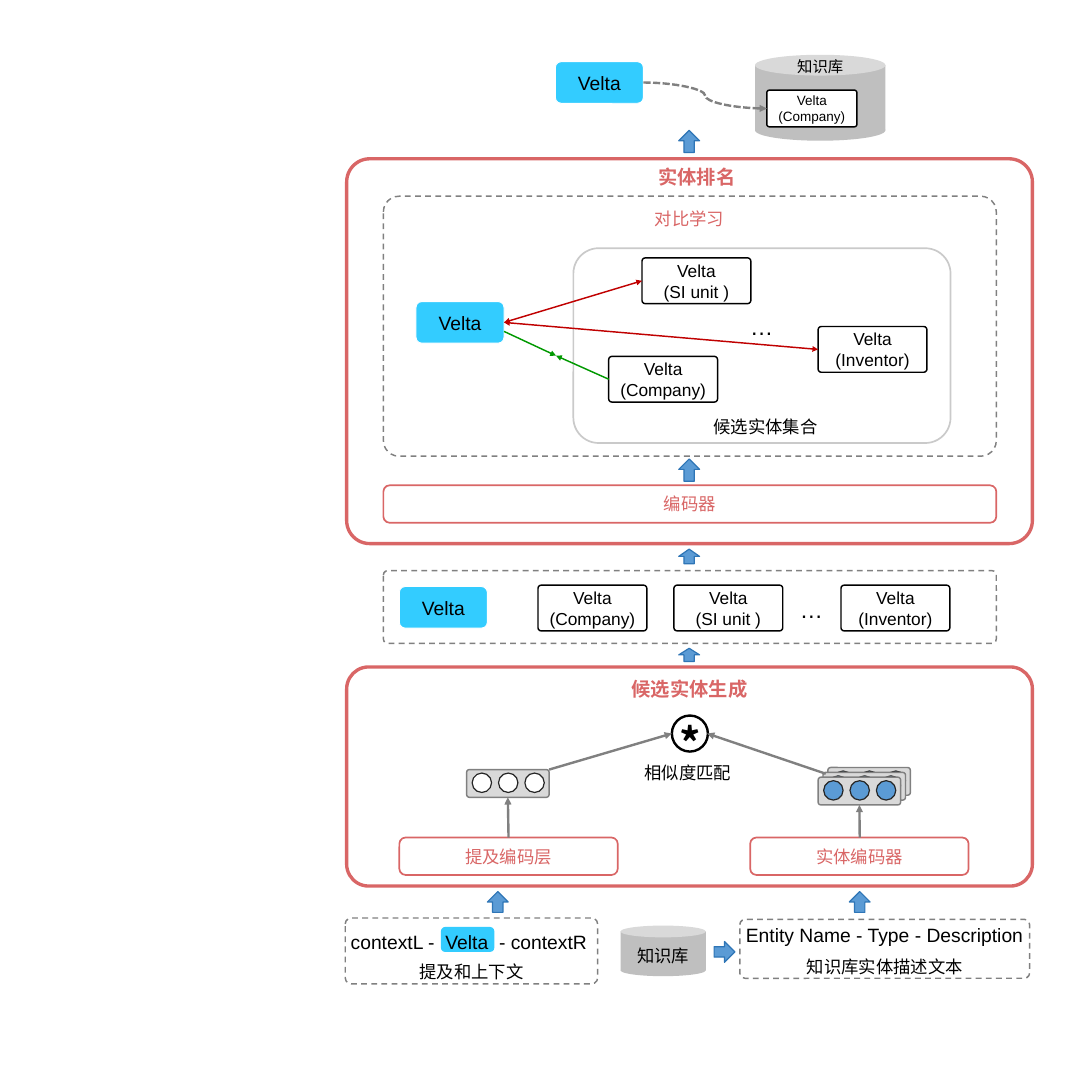
import pptx
import pptx.util
import pptx.dml.color
import pptx.enum.dml
import pptx.enum.shapes
import pptx.enum.text
import pptx.oxml.ns
from lxml import etree

KIND = pptx.enum.shapes.MSO_SHAPE
JOIN = pptx.enum.shapes.MSO_CONNECTOR
DASH = pptx.enum.dml.MSO_LINE
ALIGN = pptx.enum.text.PP_ALIGN
ANCHOR = pptx.enum.text.MSO_ANCHOR
qn = pptx.oxml.ns.qn

SIZE = 15.75
CELL = pptx.util.Inches(SIZE) / SIZE
HAN = "Noto Sans CJK SC"
NAME = "Velta"
RED, DEEP, GREEN = "D96666", "C00000", "009900"
BLACK, WHITE, GREY, CYAN, BLUE = "000000", "FFFFFF", "808080", "33CCFF", "5B9BD5"

deck = pptx.Presentation()
deck.slide_width = deck.slide_height = grid_end = pptx.util.Inches(SIZE)
page = deck.slides.add_slide(deck.slide_layouts[6])


def grid(*cells):
    return [round(cell * CELL) for cell in cells]


def paint(target, color):
    target.solid()
    target.fore_color.rgb = pptx.dml.color.RGBColor.from_string(color)


def style(para, size, color, bold, font, align):
    para.alignment = align
    para.font.size = pptx.util.Pt(size)
    para.font.bold = bold
    para.font.name = font
    paint(para.font.fill, color)
    base = para._p.pPr.find(qn("a:defRPr"))
    etree.SubElement(base, qn("a:ea")).set("typeface", HAN)


def write(frame, text, size, color=BLACK, bold=False, font="Arial",
          align=ALIGN.CENTER):
    frame.text = text
    for para in frame.paragraphs:
        style(para, size, color, bold, font, align)


def draw(kind, box, fill=None, line=None, width=1.5, curve=None, dash=None):
    item = page.shapes.add_shape(kind, *grid(*box))
    item.shadow.inherit = False
    if fill:
        paint(item.fill, fill)
    else:
        item.fill.background()
    if line:
        paint(item.line.fill, line)
        item.line.width = pptx.util.Pt(width)
        if dash:
            item.line.dash_style = dash
    else:
        item.line.fill.background()
    if curve is not None:
        item.adjustments[0] = curve
    item.text_frame.vertical_anchor = ANCHOR.MIDDLE
    return item


def label(box, text, size, color=BLACK, bold=False, font="Arial",
          align=ALIGN.CENTER, gap=None):
    frame = page.shapes.add_textbox(*grid(*box)).text_frame
    frame.word_wrap = align == ALIGN.LEFT
    write(frame, text, size, color, bold, font, align)
    if gap:
        frame.paragraphs[0].line_spacing = gap
    return frame


def dots(x, y):
    label((x, y, 0.73, 0.22), "…", 24, align=ALIGN.LEFT, gap=1.5)


def link(start, end, color, width, head=False, kind=JOIN.STRAIGHT, dash=None):
    line = page.shapes.add_connector(kind, 0, 0, 0, 0)
    if isinstance(start[0], float):
        line.begin_x, line.begin_y = grid(*start)
    else:
        line.begin_connect(*start)
    if isinstance(end[0], float):
        line.end_x, line.end_y = grid(*end)
    else:
        line.end_connect(*end)
    paint(line.line.fill, color)
    line.line.width = pptx.util.Pt(width)
    if dash:
        line.line.dash_style = dash
    tips = ["headEnd", "tailEnd"] if head else ["tailEnd"]
    for tip in tips:
        etree.SubElement(line.line._ln, qn("a:" + tip)).set("type", "triangle")
    etree.SubElement(line._element.spPr, qn("a:effectLst"))


def mention(x, y):
    item = draw(KIND.ROUNDED_RECTANGLE, (x, y, 1.27, 0.6), CYAN, WHITE, 1, 0.14)
    write(item.text_frame, NAME, 20)
    return item


def entity(x, y, sense, wide=1.57, high=0.66, size=18):
    item = draw(KIND.ROUNDED_RECTANGLE, (x, y, wide, high), WHITE, BLACK,
                curve=0.07)
    write(item.text_frame, f"{NAME}\n({sense})", size)
    return item


def coder(x, y, wide, text):
    item = draw(KIND.ROUNDED_RECTANGLE, (x, y, wide, 0.54), WHITE, RED, 1.75)
    write(item.text_frame, text, 18, RED)
    return item


def dashed(box, curve):
    return draw(KIND.ROUNDED_RECTANGLE, box, None, GREY, 1.5, curve, DASH.DASH)


def arrow(x, y, high=0.3, kind=KIND.UP_ARROW):
    draw(kind, (x, y, 0.3, high), BLUE, "2E75B6", 1.25)


def vector(x, y, color):
    item = draw(KIND.ROUNDED_RECTANGLE, (x, y, 1.19, 0.4), "D9D9D9", GREY,
                curve=0.1)
    for col in range(3):
        draw(KIND.OVAL, (x + 0.08 + 0.38 * col, y + 0.05, 0.28, 0.28),
             color, "262626", 1.25)
    return item


def store(box, lid, drop, size):
    x, y, w, h = box
    draw(KIND.OVAL, (x, y + h - lid, w, lid), "BFBFBF")
    draw(KIND.RECTANGLE, (x, y + lid / 2, w, h - lid), "BFBFBF")
    draw(KIND.OVAL, (x, y, w, lid), "D9D9D9")
    label((x, y + drop, w, 0.4), "知识库", size, font=HAN)


def answer(box):
    x, y, w, h = box
    store((x + 2.88, y, 1.88, h), 0.3, -0.01, 16)
    query = mention(x, y + 0.1)
    match = entity(x + 3.05, y + 0.51, "Company", 1.3, 0.53, 14)
    link((query, 3), (match, 1), GREY, 2.5, kind=JOIN.CURVE,
         dash=DASH.SQUARE_DOT)


def ranking(box):
    x, y, w, h = box
    draw(KIND.ROUNDED_RECTANGLE, box, WHITE, RED, 3.5, 0.06)
    label((x + 4.12, y + 0.05, 1.86, 0.56), "实体排名", 20, RED, True)
    draw(KIND.ROUNDED_RECTANGLE, (x + 3.27, y + 1.29, 5.44, 2.81), WHITE,
         "CACACA", 1.75, 0.13)
    unit = entity(x + 4.26, y + 1.43, "SI unit ")
    firm = entity(x + 3.78, y + 2.85, "Company")
    label((x + 5.18, y + 3.67, 1.72, 0.4), "候选实体集合", 18)
    query = mention(x + 1, y + 2.06)
    dots(x + 5.72, y + 1.96)
    meet = (x + 3.02, y + 2.84)
    link((x + 2.27, y + 2.49), meet, GREEN, 1.5)
    link((firm, 1), meet, GREEN, 1.5)
    coder(x + 0.53, y + 4.71, 8.84, "编码器")
    dashed((x + 0.53, y + 0.54, 8.84, 3.75), 0.06)
    label((x + 4.25, y + 0.67, 1.39, 0.4), "对比学习", 18, RED)
    maker = entity(x + 6.8, y + 2.42, "Inventor")
    for other in (unit, maker):
        link((other, 1), (query, 3), DEEP, 1.5, True)
    arrow(x + 4.79, y + 4.33, 0.32)


def choices(box):
    x, y, w, h = box
    dashed(box, 0.06)
    mention(x + 0.23, y + 0.23)
    for col, sense in ((2.23, "Company"), (4.19, "SI unit "), (6.6, "Inventor")):
        entity(x + col, y + 0.21, sense)
    dots(x + 5.91, y + 0.11)


def making(box):
    x, y, w, h = box
    draw(KIND.ROUNDED_RECTANGLE, box, WHITE, RED, 3.5, 0.1)
    label((x + 3.62, y + 0.1, 2.65, 0.33), "候选实体生成", 20, RED, True)
    left = coder(x + 0.76, y + 2.46, 3.15, "提及编码层")
    coder(x + 5.82, y + 2.46, 3.15, "实体编码器")
    code = vector(x + 1.73, y + 1.48, WHITE)
    for layer in range(3):
        front = vector(x + 6.94 - 0.07 * layer, y + 1.45 + 0.07 * layer, BLUE)
    draw(KIND.OVAL, (x + 4.69, y + 0.7, 0.52, 0.52), WHITE, BLACK, 2.5)
    label((x + 4.7, y + 0.67, 0.5, 0.84), "*", 44, bold=True, font=HAN)
    label((x + 4.19, y + 1.33, 1.46, 0.4), "相似度匹配", 18, font=HAN)
    link((left, 0), (code, 2), GREY, 2.5)
    link((x + 7.4, y + 2.46), (front, 2), GREY, 2.5)
    link((x + 2.92, y + 1.48), (x + 4.69, y + 0.96), GREY, 2.5)
    link((x + 6.91, y + 1.54), (x + 5.2, y + 0.96), GREY, 2.5)


def inputs(box):
    x, y, w, h = box
    draw(KIND.ROUNDED_RECTANGLE, (x + 1.38, y + 0.13, 0.77, 0.36), CYAN)
    frame = label((x - 0.02, y, 3.73, 0.53), "", 20, align=ALIGN.LEFT, gap=1.5)
    frame.vertical_anchor = ANCHOR.MIDDLE
    for part in ("contextL -", " ", NAME, " ", "- contextR"):
        run = frame.paragraphs[0].add_run()
        run.text = part
        if part == " ":
            run._r.get_or_add_rPr().set("spc", "556")
    store((x + 3.97, y + 0.11, 1.23, 0.73), 0.17, 0.23, 18)
    arrow(x + 5.32, y + 0.34, kind=KIND.RIGHT_ARROW)
    label((x + 5.68, y + 0.02, 4.27, 0.44), "Entity Name - Type - Description",
          20, align=ALIGN.LEFT)
    for part, text in (((x, y, 3.64, h), "提及和上下文"),
                       ((x + 5.69, y + 0.02, 4.18, 0.85), "知识库实体描述文本")):
        frame = dashed(part, 0.09).text_frame
        frame.vertical_anchor = ANCHOR.BOTTOM
        frame.margin_bottom = 0
        write(frame, text, 18)


def main():
    answer((8.01, 0.79, 4.76, 1.24))
    ranking((5, 2.29, 9.89, 5.55))
    choices((5.53, 8.23, 8.84, 1.05))
    making((5, 9.62, 9.89, 3.16))
    inputs((4.98, 13.24, 9.87, 0.95))
    for x, y, high in ((9.79, 1.88, 0.32), (9.79, 7.92, 0.21),
                       (9.79, 9.35, 0.19), (7.03, 12.86, 0.3),
                       (12.25, 12.86, 0.3)):
        arrow(x, y, high)
    deck.save("out.pptx")


if __name__ == "__main__":
    main()
